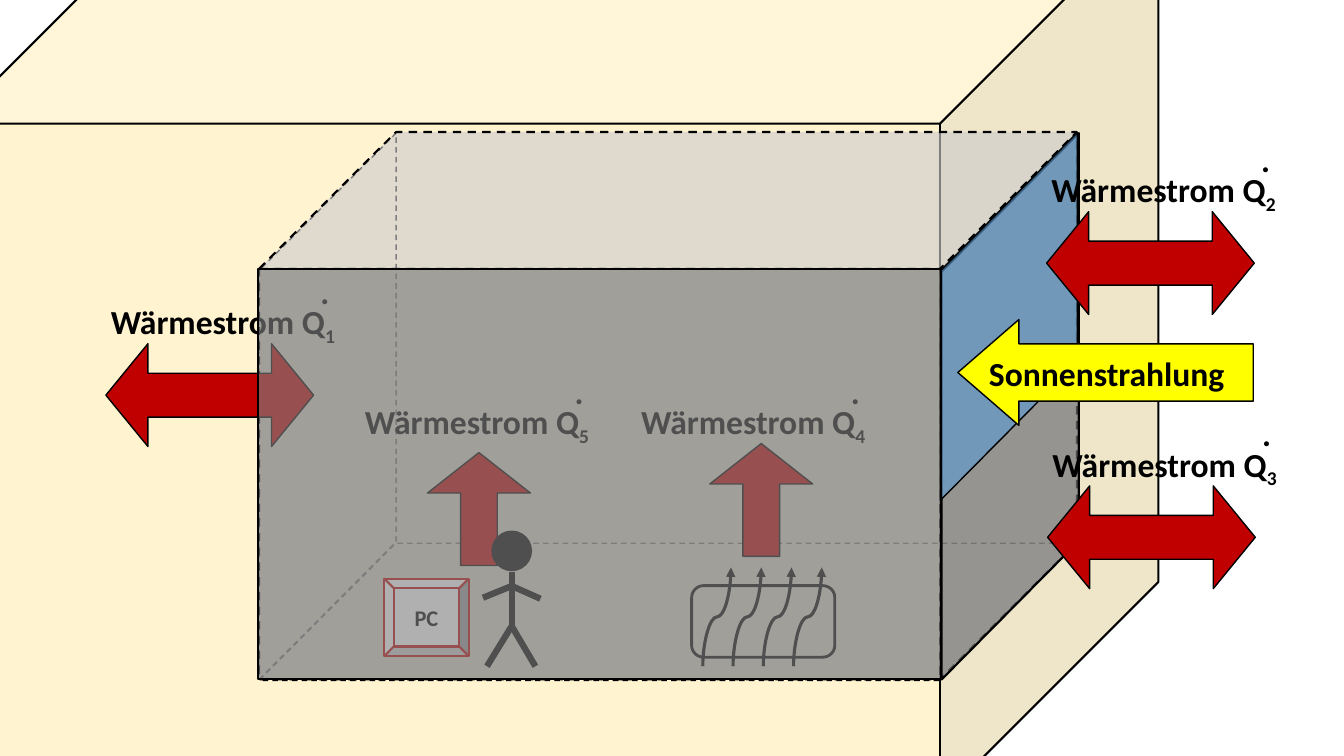
from lxml import etree
from pptx import Presentation, util as u
from pptx.dml.color import RGBColor
from pptx.enum import dml, shapes, text
from pptx.oxml.ns import qn

PX = u.Inches(1) // 100  # 100 px per inch
SHAPE = shapes.MSO_SHAPE
BLACK, RED, GREY = "000000", "C00000", "808080"

# Content: text, then left and top of each label
HEAT = "Wärmestrom Q"
INNER_WALL = ("1", 100, 294)
RADIATOR = ("4", 626, 393)
OUTER_WALL = [("2", 1033, 163), ("3", 1034, 435)]
OCCUPANTS = ("5", 352, 393)
SUN = "Sonnenstrahlung"
COMPUTER = "PC"

AIR_START, AIR_STEP, AIR_COUNT = 662, 30, 4
BODY = [
    (508, 567, 508, 626),  # trunk
    (508, 622, 531, 661), (507, 622, 483, 661),  # legs
    (509, 582, 536, 594), (506, 582, 479, 593),  # arms
]

prs = Presentation()
prs.slide_width, prs.slide_height = u.Inches(13.33), u.Inches(7.5)
slide = prs.slides.add_slide(prs.slide_layouts[6])


def colour(hex_string):
    return RGBColor.from_string(hex_string)


def add_part(kind, box, fill=None, opacity=100, line=BLACK, width=1,
             dashed=False, rotation=0, flip="", adjust=()):
    part = slide.shapes.add_shape(kind, *(v * PX for v in box))
    part.shadow.inherit = False
    part.rotation = rotation
    for side in flip:
        part._element.spPr.xfrm.set("flip" + side, "1")
    for i, value in enumerate(adjust):
        part.adjustments[i] = value
    if fill:
        part.fill.solid()
        part.fill.fore_color.rgb = colour(fill)
        if opacity < 100:
            tint = part._element.spPr.find(".//" + qn("a:srgbClr"))
            etree.SubElement(tint, qn("a:alpha"), val=str(opacity * 1000))
    else:
        part.fill.background()
    part.line.color.rgb = colour(line)
    part.line.width = u.Pt(width)
    if dashed:
        part.line.dash_style = dml.MSO_LINE.DASH
    return part


def add_line(kind, ends, width):
    line = slide.shapes.add_connector(kind, *(v * PX for v in ends))
    line.line.color.rgb = colour(BLACK)
    line.line.width = u.Pt(width)
    etree.SubElement(line._element.spPr, qn("a:effectLst"))
    return line


def add_run(paragraph, words, size=24):
    run = paragraph.add_run()
    run.text = words
    run.font.name, run.font.size, run.font.bold = "Calibri", u.Pt(size), True
    run.font.color.rgb = colour(BLACK)
    return run


def add_label(words, left, top, width, subscript=""):
    frame = slide.shapes.add_textbox(
        left * PX, top * PX, width * PX, 50 * PX).text_frame
    frame.word_wrap = False
    frame.auto_size = text.MSO_AUTO_SIZE.SHAPE_TO_FIT_TEXT
    add_run(frame.paragraphs[0], words)
    if subscript:
        index = add_run(frame.paragraphs[0], subscript)
        index.font._element.set("baseline", "-25000")


def add_heat_label(index, left, top):
    add_label(".", left + 208, top - 30, 29)
    add_label(HEAT, left, top, 262, index)


def add_exchange(index, left, top):
    add_part(SHAPE.LEFT_RIGHT_ARROW, (left + 5, top + 47, 206, 102), RED,
             rotation=180, adjust=(0.427, 0.409))
    add_heat_label(index, left, top)


def add_rising_heat(left, top):
    add_part(SHAPE.RIGHT_ARROW, (left, top, 112, 102), RED,
             rotation=270, adjust=(0.357, 0.393))


# Building and room, with the room's hidden edges
add_part(SHAPE.CUBE, (-47, -94, 1196, 888), "FFD966", 30, width=1.5, adjust=[0.244])
add_part(SHAPE.PARALLELOGRAM, (54, 335, 542, 136), dashed=True,
         rotation=90, flip="H", adjust=[1.004])
add_part(SHAPE.PARALLELOGRAM, (257, 539, 811, 136), dashed=True,
         flip="HV", adjust=[0.996])
add_part(SHAPE.CUBE, (257, 131, 811, 543), "C0C0C0", 62, width=1.5, dashed=True)

# Inner wall
add_exchange(*INNER_WALL)

# Radiator with rising air
for i in range(AIR_COUNT):
    left = AIR_START + i * AIR_STEP
    air = add_line(shapes.MSO_CONNECTOR.CURVE, (left + 98, 626, left, 598), 2.25)
    air._element.spPr.xfrm.set("rot", "5400000")
    etree.SubElement(air.line._get_or_add_ln(), qn("a:tailEnd"), type="triangle")
add_part(SHAPE.ROUNDED_RECTANGLE, (686, 581, 142, 71), width=2)
add_heat_label(*RADIATOR)
add_rising_heat(699, 445)

# Outer wall and window
add_part(SHAPE.PARALLELOGRAM, (731, 335, 542, 136), GREY, 62, width=1.5,
         rotation=90, flip="V", adjust=[1.01])
add_part(SHAPE.PARALLELOGRAM, (818, 246, 365, 136), "5B9BD5", 60,
         rotation=90, flip="V", adjust=[1.01])
for exchange in OUTER_WALL:
    add_exchange(*exchange)

# Sunlight
add_part(SHAPE.RIGHT_ARROW, (950, 317, 293, 105), "FFFF00",
         rotation=180, adjust=(0.54, 0.576))
add_label(SUN, 971, 345, 273)

# Computer and person
add_rising_heat(419, 454)
computer = add_part(SHAPE.BEVEL, (381, 574, 84, 77), "FFFFFF", line=RED, width=1.5)
computer.text_frame.vertical_anchor = text.MSO_ANCHOR.MIDDLE
computer_name = computer.text_frame.paragraphs[0]
computer_name.alignment = text.PP_ALIGN.CENTER
add_run(computer_name, COMPUTER, 16)
add_part(SHAPE.OVAL, (488, 527, 39, 39), BLACK)
for limb in BODY:
    add_line(shapes.MSO_CONNECTOR.STRAIGHT, limb, 4.5)
add_heat_label(*OCCUPANTS)

# Translucent front wall
add_part(SHAPE.PARALLELOGRAM, (391, 132, 407, 677), GREY, 62, width=1.5,
         rotation=90, adjust=[0])

prs.save("out.pptx")
